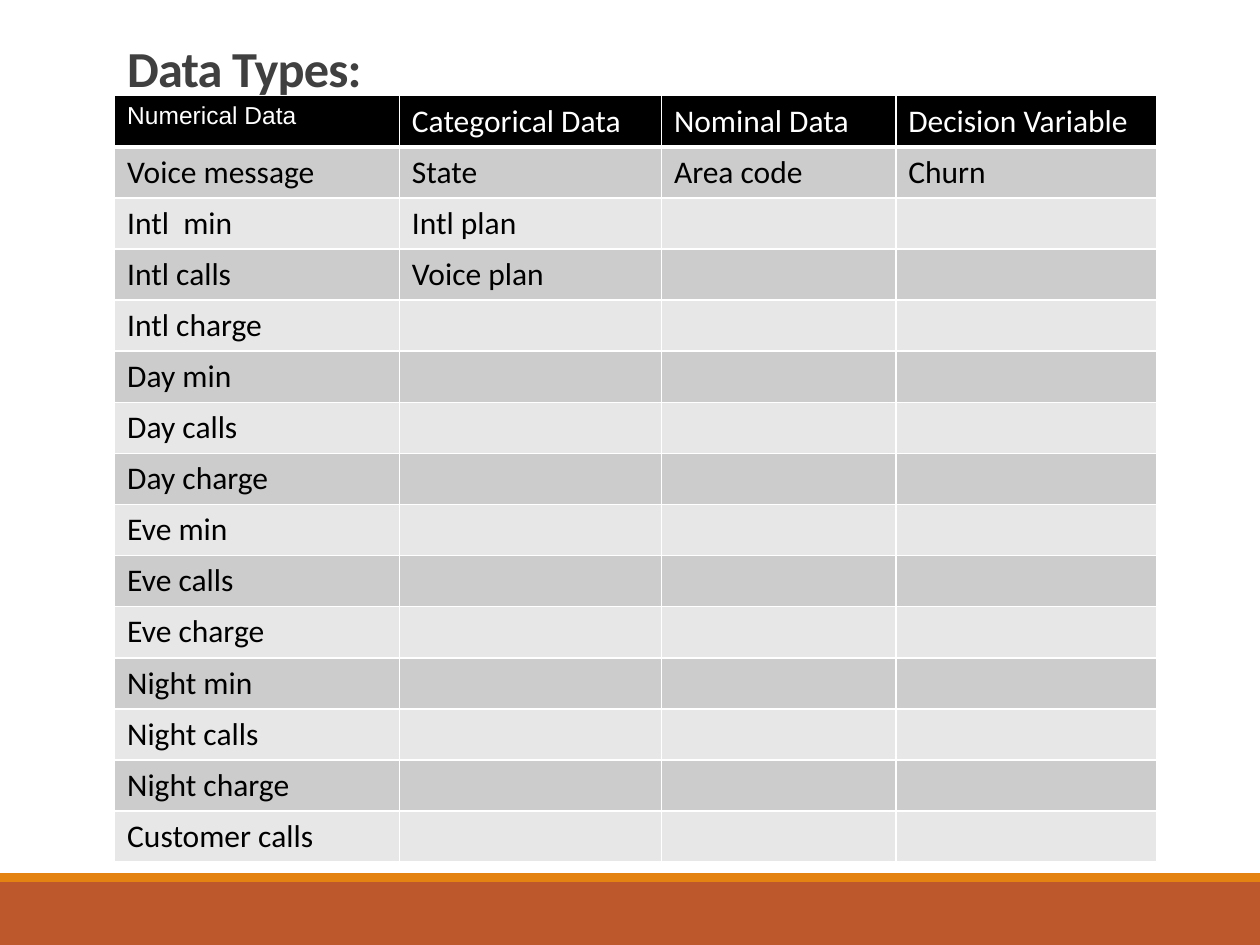
from lxml.etree import SubElement
from pptx import Presentation
from pptx.dml.color import RGBColor
from pptx.enum.shapes import MSO_SHAPE
from pptx.enum.text import MSO_ANCHOR, MSO_AUTO_SIZE, PP_ALIGN
from pptx.oxml.ns import qn
from pptx.util import Inches, Pt

HEADERS = ["Numerical Data", "Categorical Data", "Nominal Data", "Decision Variable"]
COLUMNS = [
    ["Voice message"]
    + [f"{group} {measure}"
       for group in ("Intl", "Day", "Eve", "Night")
       for measure in ("min", "calls", "charge")]
    + ["Customer calls"],
    ["State", "Intl plan", "Voice plan"],
    ["Area code"],
    ["Churn"],
]
COLUMNS[0][1] = "Intl  min"
COLUMN_WIDTHS = [2.26, 2.08, 1.86, 2.07]
BANDS = ["CCCCCC", "E7E7E7"]


def rgb(value):
    return RGBColor.from_string(value)


def set_font(font, color, **values):
    font.color.rgb = rgb(color)
    for name, value in values.items():
        setattr(font, name, value)


def add_band(s, box, color):
    band = s.shapes.add_shape(MSO_SHAPE.RECTANGLE, *map(Inches, box))
    band.shadow.inherit = False
    band.fill.solid()
    band.fill.fore_color.rgb = rgb(color)
    band.line.fill.background()


def add_footer(s, left, top, width, height, stripe=0.07):
    """Draw the footer block with a thin stripe along its top."""
    add_band(s, (left, top + stripe, width, height - stripe), "BD582C")
    add_band(s, (left, top, width, stripe), "E48312")


def set_borders(cell, bottom):
    """Give the cell white borders; must run before the fill is set."""
    tc_pr = cell._tc.get_or_add_tcPr()
    for side, width in {"L": 1, "R": 1, "T": 1, "B": bottom}.items():
        ln = SubElement(tc_pr, qn(f"a:ln{side}"), w=str(Pt(width)))
        fill = SubElement(ln, qn("a:solidFill"))
        SubElement(fill, qn("a:srgbClr"), val="FFFFFF")


def fill_cell(cell, text, fill, color, border=1, name="Calibri", size=18):
    set_borders(cell, border)
    cell.fill.solid()
    cell.fill.fore_color.rgb = rgb(fill)
    p = cell.text_frame.paragraphs[0]
    if text:
        p.text = text
    set_font(p.font, color, name=name, size=Pt(size))
    for r in p.runs:
        set_font(r.font, color, name=name, size=Pt(size))


def add_data_table(s, left, top, width, height):
    row_count = len(COLUMNS[0]) + 1
    table = s.shapes.add_table(row_count, len(HEADERS),
                               *map(Inches, (left, top, width, height))).table
    for row in table.rows:
        row.height = Inches(height / row_count)
    for c, (header, values) in enumerate(zip(HEADERS, COLUMNS)):
        table.columns[c].width = Inches(COLUMN_WIDTHS[c])
        header_font = {"name": "Arial", "size": 14} if c == 0 else {}
        fill_cell(table.cell(0, c), header, "000000", "FFFFFF", 3, **header_font)
        for i in range(row_count - 1):
            text = values[i] if i < len(values) else ""
            fill_cell(table.cell(i + 1, c), text, BANDS[i % 2], "000000")


def place_title(s, left, top, width, height):
    title = s.shapes.title
    box = {"left": left, "top": top, "width": width, "height": height}
    for name, value in box.items():
        setattr(title, name, Inches(value))
    tf = title.text_frame
    tf.text = "Data Types:"
    tf.auto_size = MSO_AUTO_SIZE.NONE
    tf.vertical_anchor = MSO_ANCHOR.BOTTOM
    p = tf.paragraphs[0]
    p.alignment = PP_ALIGN.LEFT
    p.line_spacing = 0.85
    r = p.runs[0]
    set_font(r.font, "404040", name="Calibri", size=Pt(28.8), bold=True)
    r._r.get_or_add_rPr().set("spc", "-50")
    # Bring the title in front of the table it touches
    s.shapes._spTree.append(title._element)


def main():
    prs = Presentation()
    prs.slide_width, prs.slide_height = Inches(10), Inches(7.5)
    s = prs.slides.add_slide(prs.slide_layouts[5])
    add_footer(s, 0, 6.93, 10, 0.57)
    add_data_table(s, 0.91, 0.76, sum(COLUMN_WIDTHS), 6)
    place_title(s, 0.91, 0.36, 6.7, 0.47)
    prs.save("out.pptx")


if __name__ == "__main__":
    main()
